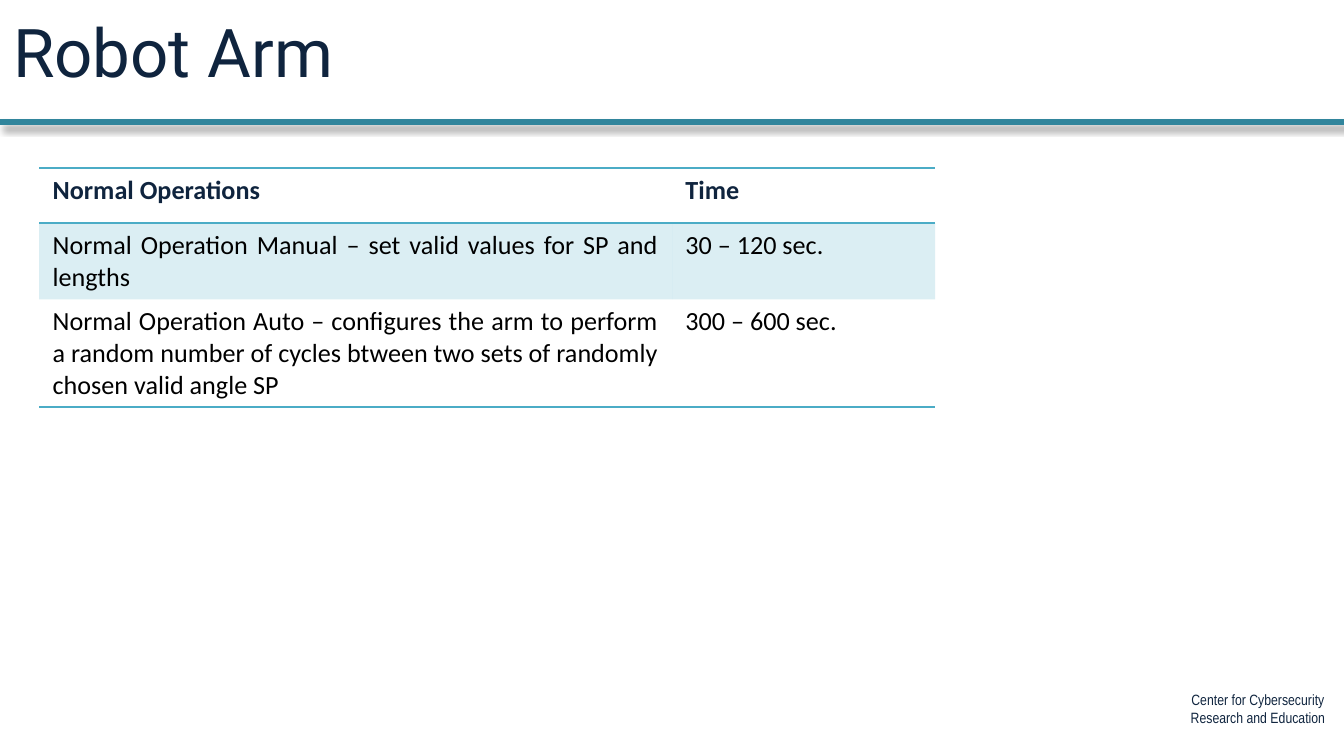
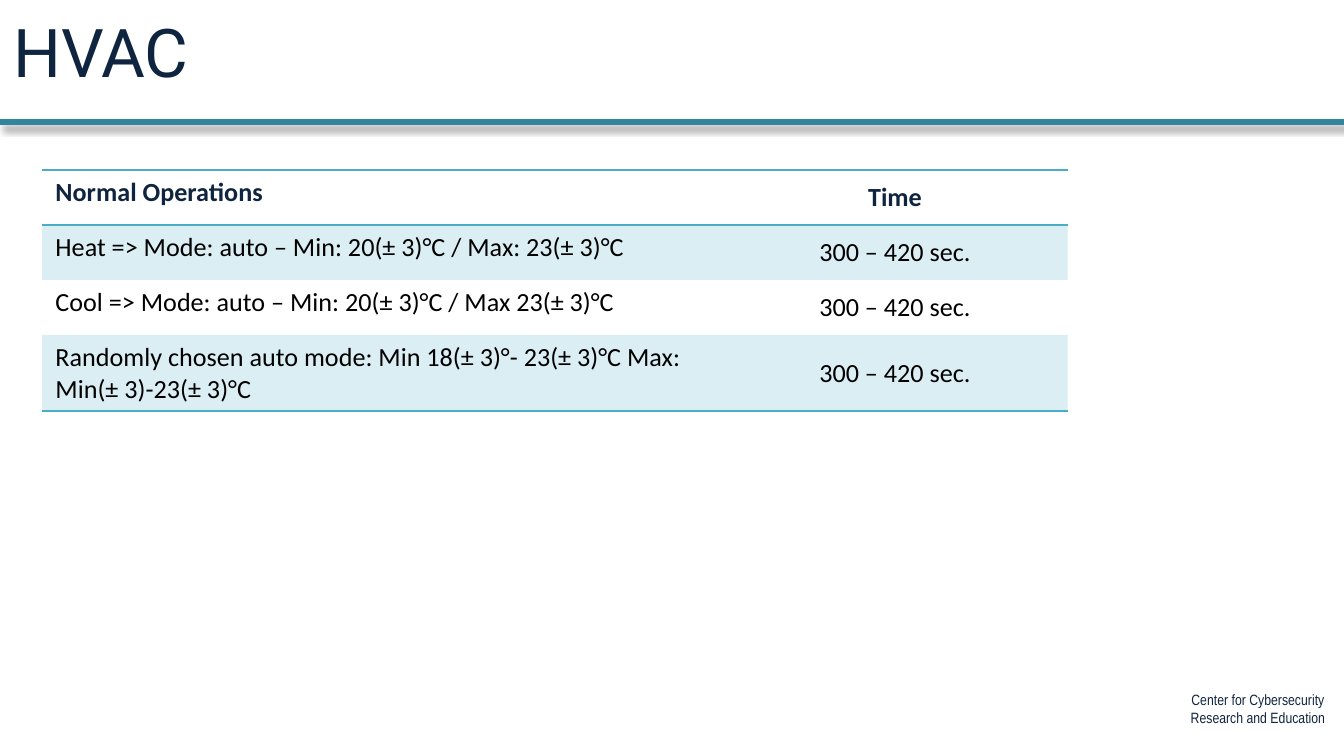
from dataclasses import dataclass

from lxml import etree
from pptx import Presentation
from pptx.dml.color import RGBColor
from pptx.enum import shapes, text
from pptx.oxml import ns
from pptx.util import Pt


@dataclass(frozen=True)
class Theme:
    navy: str = "0F243E"
    footer_navy: str = "10253F"
    black: str = "000000"
    rule: str = "31859C"
    accent: str = "4BACC6"
    title_font: str = "Roboto"
    body_font: str = "Calibri"
    footer_font: str = "Arial Narrow"
    title_size: float = 36
    body_size: float = 14
    footer_size: float = 8
    rule_width: float = 3
    border_width: float = 1
    band_alpha: int = 20


THEME = Theme()
WIDTH, HEIGHT = 720, 405
RULE_TOP = 65.5
ROW_HEIGHT = 29.5
PLAIN_TABLE = "{2D5ABB26-0587-4C30-8999-92F81FD0307C}"
LEFT, CENTER, JUSTIFY = (text.PP_ALIGN.LEFT, text.PP_ALIGN.CENTER,
                         text.PP_ALIGN.JUSTIFY)


def add_xml(parent, tag, **attributes):
    return etree.SubElement(parent, ns.qn(tag), attributes)


def write(frame, content, *, font, size, color, bold=False, align=LEFT):
    """Fill a text frame, one paragraph for each line."""
    for index, line in enumerate(content.split("\n")):
        para = frame.add_paragraph() if index else frame.paragraphs[0]
        para.alignment = align
        span = para.add_run()
        span.text = line
        span.font.name = font
        span.font.size = Pt(size)
        span.font.bold = bold
        span.font.color.rgb = RGBColor.from_string(color)


def add_label(page, box, content, **style):
    frame = page.shapes.add_textbox(*map(Pt, box)).text_frame
    frame.word_wrap = False
    frame.auto_size = text.MSO_AUTO_SIZE.SHAPE_TO_FIT_TEXT
    write(frame, content, **style)


def add_rule(page, top):
    """Full-width line with a soft shadow under the title."""
    rule = page.shapes.add_connector(
        shapes.MSO_CONNECTOR.STRAIGHT, 0, Pt(top), Pt(WIDTH), Pt(top))
    rule.line.color.rgb = RGBColor.from_string(THEME.rule)
    rule.line.width = Pt(THEME.rule_width)
    effects = add_xml(rule._element.spPr, "a:effectLst")
    shadow = add_xml(effects, "a:outerShdw", blurRad=str(Pt(4)), dist=str(Pt(3)),
                     dir=str(45 * 60000), algn="tl", rotWithShape="0")
    tone = add_xml(shadow, "a:srgbClr", val=THEME.black)
    add_xml(tone, "a:alpha", val="40000")


def add_frame(page, title, title_width):
    """Title, rule and footer shared by the slides."""
    add_rule(page, RULE_TOP)
    add_label(page, (0, 2.2, title_width, 51), title, font=THEME.title_font,
              size=THEME.title_size, color=THEME.navy)
    add_label(page, (628, 366.5, 92, 26.6),
              "Center for Cybersecurity\nResearch and Education",
              font=THEME.footer_font, size=THEME.footer_size,
              color=THEME.footer_navy, align=CENTER)


def add_border(cell, tag):
    line = add_xml(cell._tc.get_or_add_tcPr(), tag,
                   w=str(Pt(THEME.border_width)))
    add_xml(add_xml(line, "a:solidFill"), "a:srgbClr", val=THEME.accent)


def fill_cell(cell, banded):
    if not banded:
        cell.fill.background()
        return
    cell.fill.solid()
    cell.fill.fore_color.rgb = RGBColor.from_string(THEME.accent)
    tone = cell._tc.tcPr.find(".//" + ns.qn("a:solidFill") + "[last()]")
    # The fill is a direct child; borders hold their own solid fills.
    tone = cell._tc.tcPr.findall(ns.qn("a:solidFill"))[0][0]
    add_xml(tone, "a:alpha", val=str(THEME.band_alpha * 1000))


def add_operations(page, left, top, columns, rows, *, name_align=LEFT,
                   time_align=LEFT, time_anchor=text.MSO_ANCHOR.TOP):
    """Table of operations and times, with every second row banded."""
    rows = [("Normal Operations", "Time"), *rows]
    graphic = page.shapes.add_table(
        len(rows), len(columns), Pt(left), Pt(top), Pt(sum(columns)),
        Pt(ROW_HEIGHT * len(rows)))
    table = graphic.table
    table.first_row = table.horz_banding = False
    table._tbl.tblPr.find(ns.qn("a:tableStyleId")).text = PLAIN_TABLE
    for column, width in zip(table.columns, columns):
        column.width = Pt(width)

    for row_index, row in enumerate(rows):
        header = row_index == 0
        table.rows[row_index].height = Pt(ROW_HEIGHT)
        for column_index, content in enumerate(row):
            cell = table.cell(row_index, column_index)
            is_time = column_index == 1
            align = time_align if is_time else LEFT if header else name_align
            write(cell.text_frame, content, font=THEME.body_font,
                  size=THEME.body_size, bold=header, align=align,
                  color=THEME.navy if header else THEME.black)
            cell.vertical_anchor = (time_anchor if is_time
                                    else text.MSO_ANCHOR.TOP)
            if header:
                add_border(cell, "a:lnT")
            if header or row_index == len(rows) - 1:
                add_border(cell, "a:lnB")
            fill_cell(cell, banded=row_index % 2 == 1)


def robot_arm(page):
    add_frame(page, "Robot Arm", 195.8)
    add_operations(page, 21, 90, (339, 141), [
        ("Normal Operation Manual – set valid values for SP and lengths",
         "30 – 120 sec."),
        ("Normal Operation Auto – configures the arm to perform a random "
         "number of cycles btween two sets of randomly chosen valid angle SP",
         "300 – 600 sec."),
    ], name_align=JUSTIFY)


def hvac(page):
    add_frame(page, "HVAC", 111.6)
    modes = (
        "Heat => Mode: auto – Min: 20(± 3)°C / Max: 23(± 3)°C",
        "Cool => Mode: auto – Min: 20(± 3)°C / Max 23(± 3)°C",
        "Randomly chosen auto mode: Min 18(± 3)°- 23(± 3)°C "
        "Max: Min(± 3)-23(± 3)°C",
    )
    add_operations(page, 22.5, 91, (364.5, 185),
                   [(mode, "300 – 420 sec.") for mode in modes],
                   time_align=CENTER, time_anchor=text.MSO_ANCHOR.MIDDLE)


def main():
    deck = Presentation()
    deck.slide_width, deck.slide_height = Pt(WIDTH), Pt(HEIGHT)
    for build in (robot_arm, hvac):
        build(deck.slides.add_slide(deck.slide_layouts[6]))
    deck.save("out.pptx")


if __name__ == "__main__":
    main()
